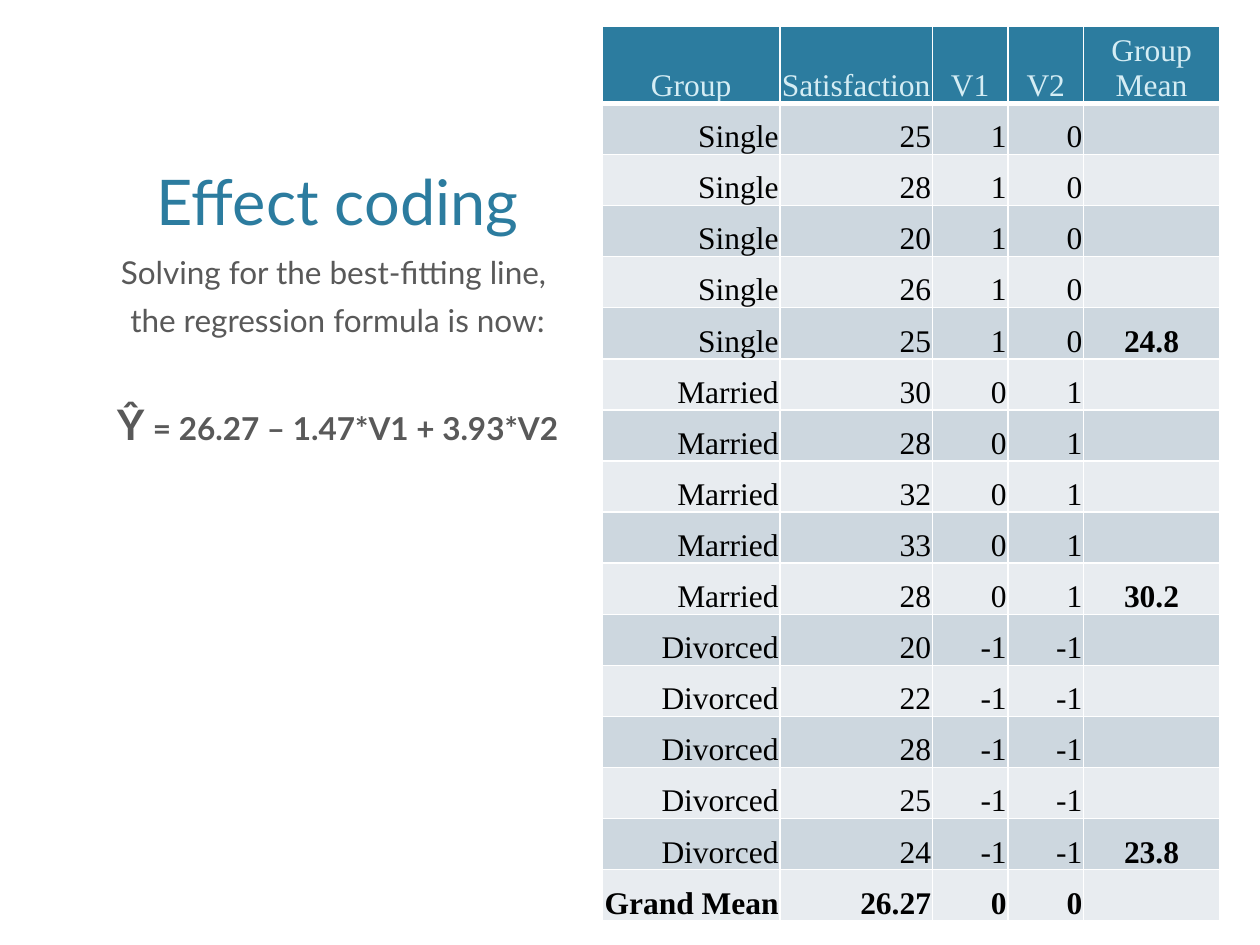
from dataclasses import dataclass

from lxml.etree import SubElement
from pptx import Presentation
from pptx.dml.color import RGBColor
from pptx.enum.text import MSO_VERTICAL_ANCHOR as Anchor, PP_PARAGRAPH_ALIGNMENT as Align
from pptx.oxml.ns import qn
from pptx.slide import Slide
from pptx.table import _Cell as Cell
from pptx.text.text import _Run as Run
from pptx.util import Inches, Pt


@dataclass(frozen=True)
class Theme:
    accent: str = "2C7C9F"
    header_text: str = "D5EDF4"
    body_text: str = "595959"
    cell_text: str = "000000"
    border: str = "FFFFFF"
    bands: tuple[str, str] = ("CDD7DF", "E8ECF0")
    font: str = "Lato"
    table_font: str = "Times New Roman"
    title_size: int = 36
    symbol_size: int = 24
    text_size: int = 18
    thin_line: int = 1
    thick_line: int = 3


@dataclass(frozen=True)
class Group:
    name: str
    scores: tuple[int, ...]
    codes: tuple[str, str]
    mean: str


@dataclass(frozen=True)
class Line:
    spans: tuple[tuple[str, int], ...]
    color: str
    space_before: int = 0
    bold: bool = False


THEME = Theme()
HEADERS = ("Group", "Satisfaction", "V1", "V2", "Group Mean")
GROUPS = (
    Group("Single", (25, 28, 20, 26, 25), ("1", "0"), "24.8"),
    Group("Married", (30, 28, 32, 33, 28), ("0", "1"), "30.2"),
    Group("Divorced", (20, 22, 28, 25, 24), ("-1", "-1"), "23.8"),
)
GRAND_MEAN = ("Grand Mean", "26.27", "0", "0", "")
COLUMN_WIDTHS = (1.41, 1.21, 0.6, 0.6, 1.08)
TABLE_HEIGHT = 6.9

TITLE = (Line((("Effect coding", THEME.title_size),), THEME.accent),)
EXPLANATION = (
    Line((("Solving for the best-fitting line, ", THEME.text_size),), THEME.body_text, 6),
    Line((("the regression formula is now:", THEME.text_size),), THEME.body_text, 6),
    Line((("Ŷ ", THEME.symbol_size), ("= 26.27 – 1.47*V1 + 3.93*V2", THEME.text_size)),
         THEME.body_text, 34, True),
)


def format_run(run: Run, font: str, size: int, color: str, bold: bool) -> None:
    run.font.name = font
    run.font.size = Pt(size)
    run.font.bold = bold
    run.font.color.rgb = RGBColor.from_string(color)


def add_text(page: Slide, top: float, height: float, anchor: Anchor,
             lines: tuple[Line, ...]) -> None:
    box = page.shapes.add_textbox(Inches(0.58), Inches(top), Inches(4.2), Inches(height))
    frame = box.text_frame
    frame.word_wrap = True
    frame.vertical_anchor = anchor
    for index, line in enumerate(lines):
        para = frame.add_paragraph() if index else frame.paragraphs[0]
        para.alignment = Align.CENTER
        para.space_before = Pt(line.space_before)
        for text, size in line.spans:
            span = para.add_run()
            span.text = text
            format_run(span, THEME.font, size, line.color, line.bold)


def set_borders(cell: Cell, top: int, bottom: int) -> None:
    properties = cell._tc.get_or_add_tcPr()
    widths = {"L": THEME.thin_line, "R": THEME.thin_line, "T": top, "B": bottom}
    for side, width in widths.items():
        border = SubElement(properties, qn(f"a:ln{side}"), w=str(Pt(width)))
        fill = SubElement(border, qn("a:solidFill"))
        SubElement(fill, qn("a:srgbClr"), val=THEME.border)


def table_rows() -> list[tuple[str, ...]]:
    """Header, one row per score with the mean on each group's last row, grand mean."""
    rows = [HEADERS]
    for group in GROUPS:
        last = len(group.scores) - 1
        for index, score in enumerate(group.scores):
            mean = group.mean if index == last else ""
            rows.append((group.name, str(score), *group.codes, mean))
    return rows + [GRAND_MEAN]


def fill_cell(cell: Cell, text: str, row: int, column: int, last_row: int) -> None:
    is_header = row == 0
    is_mean = column == len(HEADERS) - 1
    set_borders(cell,
                THEME.thick_line if row == 1 else THEME.thin_line,
                THEME.thick_line if is_header else THEME.thin_line)
    cell.fill.solid()
    color = THEME.accent if is_header else THEME.bands[(row - 1) % 2]
    cell.fill.fore_color.rgb = RGBColor.from_string(color)
    cell.vertical_anchor = Anchor.BOTTOM
    cell.margin_left = cell.margin_right = cell.margin_top = Inches(0.01)
    cell.margin_bottom = 0
    para = cell.text_frame.paragraphs[0]
    para.text = text
    para.alignment = Align.CENTER if is_header or is_mean else Align.RIGHT
    bold = not is_header and (is_mean or row == last_row)
    for span in para.runs:
        format_run(span, THEME.table_font, THEME.text_size,
                   THEME.header_text if is_header else THEME.cell_text, bold)


def add_score_table(page: Slide) -> None:
    rows = table_rows()
    table = page.shapes.add_table(
        len(rows), len(HEADERS), Inches(4.78), Inches(0.21),
        Inches(sum(COLUMN_WIDTHS)), Inches(TABLE_HEIGHT)).table
    for column, width in zip(table.columns, COLUMN_WIDTHS):
        column.width = Inches(width)
    for row, texts in enumerate(rows):
        table.rows[row].height = Inches(TABLE_HEIGHT / len(rows))
        for column, text in enumerate(texts):
            fill_cell(table.cell(row, column), text, row, column, len(rows) - 1)


def main() -> None:
    deck = Presentation()
    deck.slide_width, deck.slide_height = Inches(10), Inches(7.5)
    page = deck.slides.add_slide(deck.slide_layouts[6])
    add_text(page, 0.67, 1.27, Anchor.BOTTOM, TITLE)
    add_score_table(page)
    add_text(page, 1.96, 4.07, Anchor.TOP, EXPLANATION)
    deck.save("out.pptx")


if __name__ == "__main__":
    main()
